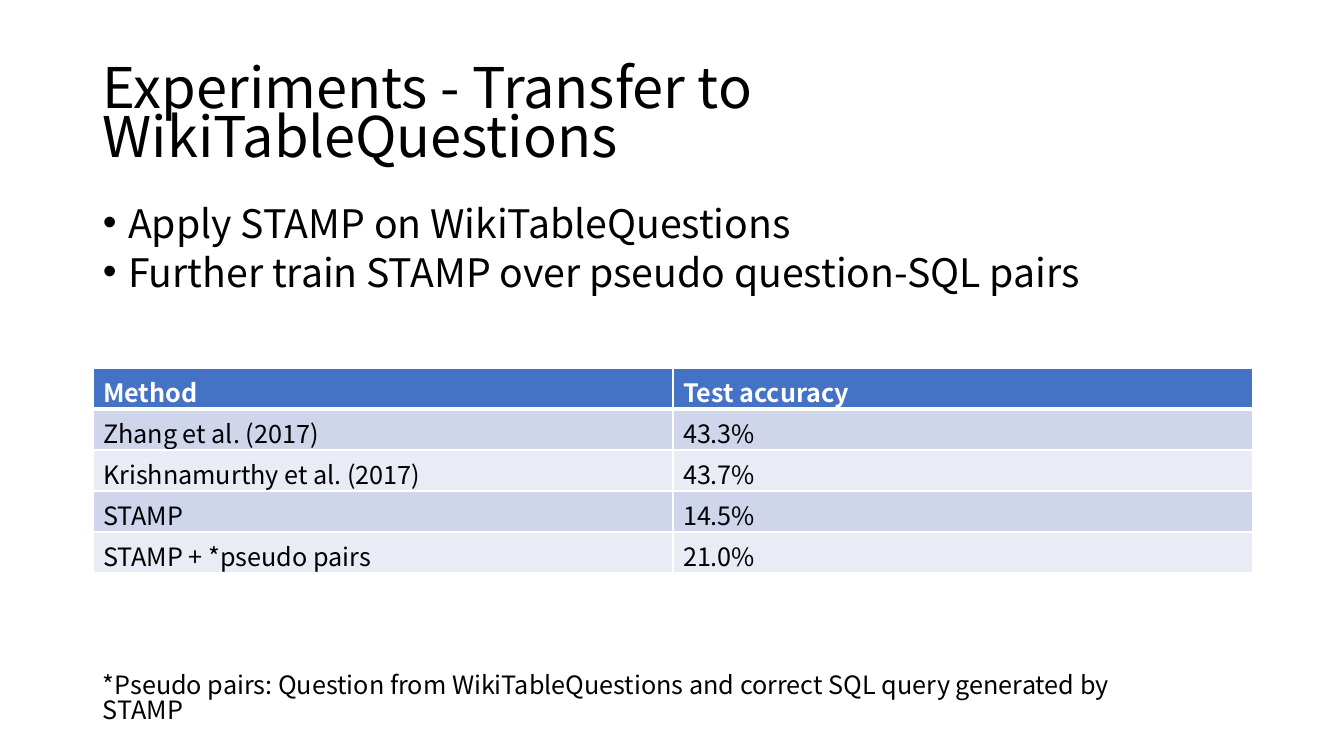
"""Build the slide on transferring STAMP to WikiTableQuestions."""
from dataclasses import dataclass

import pptx
import pptx.dml.color
import pptx.enum.text
import pptx.oxml
import pptx.oxml.ns
import pptx.slide
import pptx.table
import pptx.text.text
import pptx.util

PX = 9071
FONT = "Noto Sans CJK SC"
COLORS = {
    "background": "FFFFFF",
    "text": "000000",
    "header": "4472C4",
    "odd": "CFD5EA",
    "even": "E9EBF5",
    "border": "FFFFFF",
}
ANCHOR = pptx.enum.text.MSO_ANCHOR


@dataclass(frozen=True)
class TextBlock:
    lines: tuple[str, ...]
    left: int
    top: int
    width: int
    height: int
    size: int
    line_spacing: float
    margin_top: int
    anchor: ANCHOR = ANCHOR.TOP
    bulleted: bool = False


TEXT_BLOCKS = (
    TextBlock(("Experiments - Transfer to WikiTableQuestions",),
              93, 40, 1159, 146, 40, 0.74, 15, ANCHOR.MIDDLE),
    TextBlock(("Apply STAMP on WikiTableQuestions",
               "Further train STAMP over pseudo question-SQL pairs"),
              93, 202, 1159, 480, 28, 0.74, 9, bulleted=True),
    TextBlock(("*Pseudo pairs: Question from WikiTableQuestions and correct "
               "SQL query generated by STAMP",),
              93, 668, 1054, 40, 18, 0.82, 7),
)
RESULTS = (
    ("Method", "Test accuracy"),
    ("Zhang et al. (2017)", "43.3%"),
    ("Krishnamurthy et al. (2017)", "43.7%"),
    ("STAMP", "14.5%"),
    ("STAMP + *pseudo pairs", "21.0%"),
)
TABLE_LEFT, TABLE_TOP, COLUMN_WIDTH, ROW_HEIGHT = 93, 368, 580, 41


def px(length: int) -> pptx.util.Emu:
    return pptx.util.Emu(length * PX)


def rgb(name: str) -> pptx.dml.color.RGBColor:
    return pptx.dml.color.RGBColor.from_string(COLORS[name])


def apply_format(target: object, values: dict[str, object]) -> None:
    for name, value in values.items():
        setattr(target, name, value)


def add_run(paragraph: pptx.text.text._Paragraph, text: str, size: int,
            color: str = "text", bold: bool = False) -> None:
    run = paragraph.add_run()
    run.text = text
    apply_format(run.font, {"name": FONT, "size": pptx.util.Pt(size), "bold": bold})
    run.font.color.rgb = rgb(color)


def add_bullet(paragraph: pptx.text.text._Paragraph) -> None:
    properties = paragraph._p.get_or_add_pPr()
    indent = pptx.util.Inches(0.25)
    properties.set("marL", str(indent))
    properties.set("indent", str(-indent))
    namespace = pptx.oxml.ns.nsdecls("a")
    for xml in (f'<a:buFont {namespace} typeface="Arial"/>',
                f'<a:buChar {namespace} char="•"/>'):
        properties.append(pptx.oxml.parse_xml(xml))


def add_text(slide: pptx.slide.Slide, block: TextBlock) -> None:
    shape = slide.shapes.add_textbox(
        px(block.left), px(block.top), px(block.width), px(block.height))
    frame = shape.text_frame
    apply_format(frame, {
        "word_wrap": True,
        "vertical_anchor": block.anchor,
        "margin_top": px(block.margin_top),
    })
    for index, line in enumerate(block.lines):
        paragraph = frame.add_paragraph() if index else frame.paragraphs[0]
        if block.bulleted:
            add_bullet(paragraph)
        apply_format(paragraph, {
            "line_spacing": block.line_spacing,
            "space_before": pptx.util.Pt(10 if index else 0),
        })
        add_run(paragraph, line, block.size)


def add_borders(cell: pptx.table._Cell, widths: dict[str, int]) -> None:
    properties = cell._tc.get_or_add_tcPr()
    for side, points in widths.items():
        properties.append(pptx.oxml.parse_xml(
            f'<a:ln{side} {pptx.oxml.ns.nsdecls("a")} w="{pptx.util.Pt(points)}">'
            f'<a:solidFill><a:srgbClr val="{COLORS["border"]}"/></a:solidFill>'
            f'</a:ln{side}>'))


def add_results(slide: pptx.slide.Slide) -> None:
    row_count, column_count = len(RESULTS), len(RESULTS[0])
    table = slide.shapes.add_table(
        row_count, column_count, px(TABLE_LEFT), px(TABLE_TOP),
        px(COLUMN_WIDTH * column_count), px(ROW_HEIGHT * row_count)).table
    for row_index, row in enumerate(RESULTS):
        is_header = row_index == 0
        fill = "header" if is_header else "odd" if row_index % 2 else "even"
        for column_index, text in enumerate(row):
            cell = table.cell(row_index, column_index)
            add_borders(cell, {"L": 1, "R": 1, "T": 3 if row_index == 1 else 1,
                               "B": 3 if is_header else 1})
            cell.fill.solid()
            cell.fill.fore_color.rgb = rgb(fill)
            add_run(cell.text_frame.paragraphs[0], text, 18,
                    "background" if is_header else "text", is_header)


def main() -> None:
    presentation = pptx.Presentation()
    apply_format(presentation, {"slide_width": px(1344), "slide_height": px(756)})
    slide = presentation.slides.add_slide(presentation.slide_layouts[6])
    slide.background.fill.solid()
    slide.background.fill.fore_color.rgb = rgb("background")
    for block in TEXT_BLOCKS:
        add_text(slide, block)
    add_results(slide)
    presentation.save("out.pptx")


if __name__ == "__main__":
    main()
